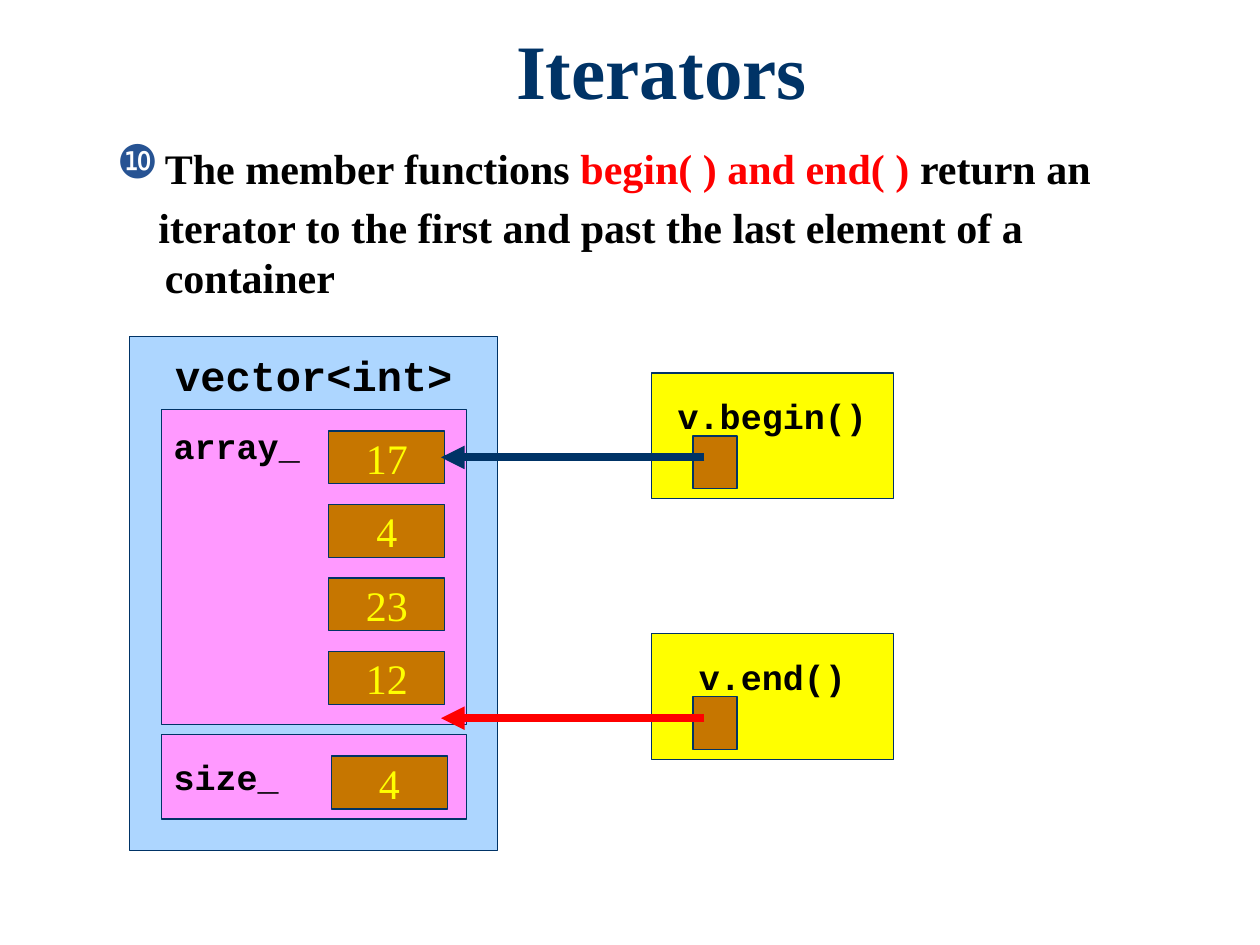
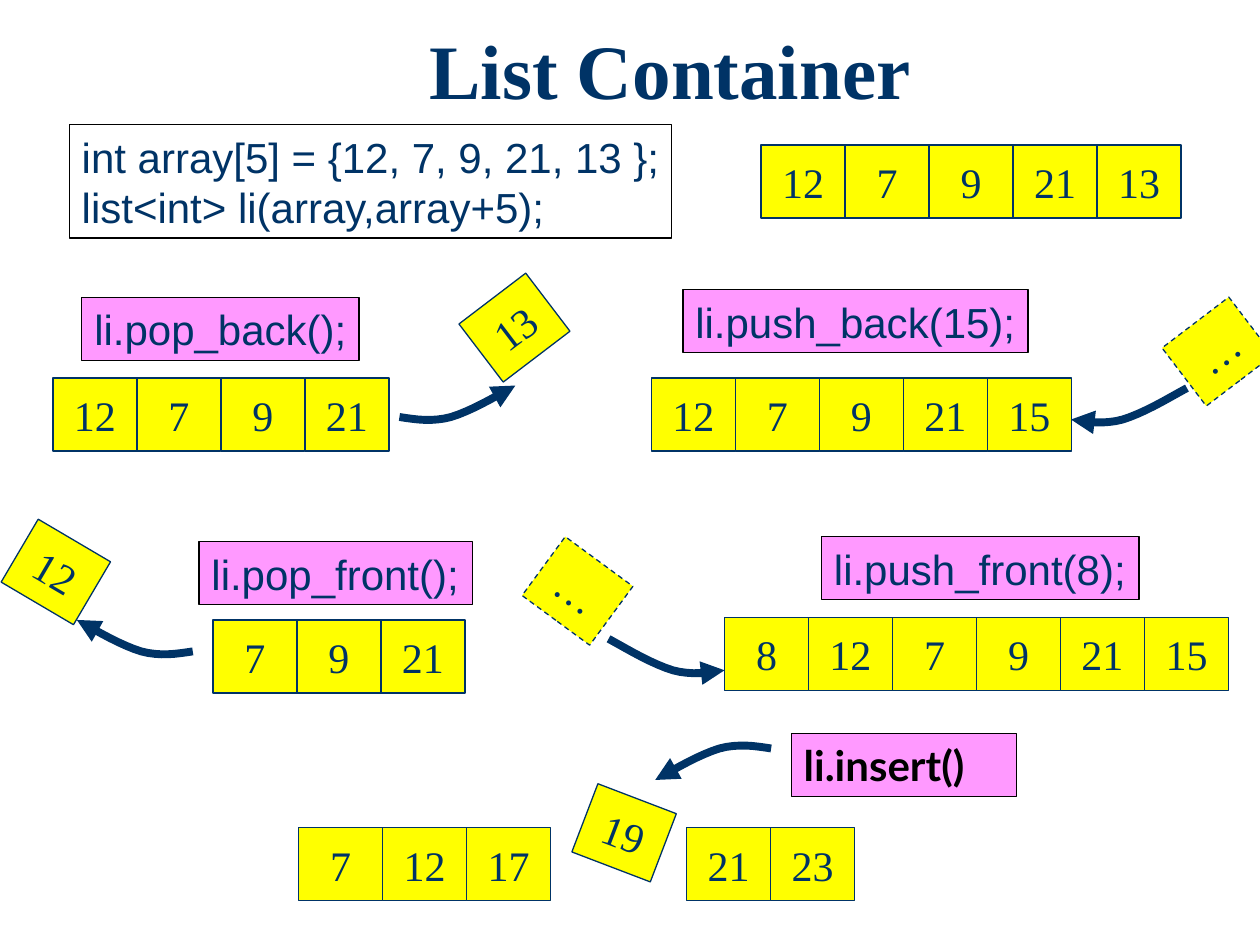
import pptx
import pptx.util
import pptx.dml.color
import pptx.enum.dml
import pptx.enum.shapes
import pptx.enum.text
import pptx.oxml
import pptx.oxml.ns

Inches, Pt = pptx.util.Inches, pptx.util.Pt
RGB = pptx.dml.color.RGBColor
ALIGN = pptx.enum.text.PP_ALIGN
ANCHOR = pptx.enum.text.MSO_ANCHOR

NAVY, BLACK, WHITE = RGB(0, 0x33, 0x66), RGB(0, 0, 0), RGB(255, 255, 255)
RED, YELLOW = RGB(255, 0, 0), RGB(255, 255, 0)
BROWN, PINK, SKY = RGB(0xC6, 0x76, 0), RGB(255, 0x99, 255), RGB(0xAD, 0xD6, 255)

# Text styles
SERIF = dict(name="Times New Roman", size=Pt(24))
CODE = dict(name="Courier New", size=Pt(20), bold=True, color=BLACK)
CODE_HEAD = {**CODE, "size": Pt(24)}
TITLE = {**SERIF, "size": Pt(44), "bold": True, "color": NAVY}
BODY = {**SERIF, "bold": True, "color": BLACK}
VALUE = {**SERIF, "color": YELLOW}
ITEM = {**SERIF, "color": NAVY}
CALL = dict(name="Arial", size=Pt(24), color=NAVY)
INSERT_CALL = dict(name="Lato", size=Pt(24), bold=True, color=BLACK)

# Content: iterators slide
BODY_LINES = [
    [("The member functions ", BLACK), ("begin( ) and end( ) ", RED), ("return an", BLACK)],
    [("iterator to the first and past the last element of a container", BLACK)],
]
ARRAY_VALUES = ["17", "4", "23", "12"]
ITERATORS = [("v.begin()", 2.96, NAVY), ("v.end()", 5.03, RED)]  # label, top, arrow

# Content: list slide. Cells are 2/3 inch wide.
CELL_W, CELL_H = 2 / 3, 0.58
DECLARATION = ["int array[5] = {12, 7, 9, 21, 13 };", "list<int> li(array,array+5);"]
ROWS = [  # left, top, values
    (6.04, 1.15, "12 7 9 21 13"),
    (0.42, 3, "12 7 9 21"),
    (5.17, 3, "12 7 9 21 15"),
    (1.69, 4.92, "7 9 21"),
    (5.75, 4.9, "8 12 7 9 21 15"),
    (2.37, 6.57, "7 12 17"),
    (5.45, 6.57, "21 23"),
]
LOOSE_CELLS = [  # left, top, value, rotation, dashed
    (3.75, 2.31, "13", 322.7, False),
    (9.33, 2.5, "…", 322.7, True),
    (0.11, 4.25, "12", 30.5, False),
    (4.25, 4.4, "…", 36.3, True),
    (4.62, 6.32, "19", 20.9, False),
]
CALLS = [  # left, top, width, text, style
    (0.65, 2.36, 2.2, "li.pop_back();", CALL),
    (5.42, 2.3, 2.74, "li.push_back(15);", CALL),
    (1.58, 4.3, 2.17, "li.pop_front();", CALL),
    (6.52, 4.26, 2.52, "li.push_front(8);", CALL),
    (6.28, 5.82, 1.79, "li.insert()", INSERT_CALL),
]
MOVES = [  # left, top, mirrored, upside down, arrowhead end
    (3.17, 3.06, False, False, "tailEnd"),
    (8.5, 3.08, False, False, "headEnd"),
    (0.61, 4.92, True, False, "tailEnd"),
    (4.83, 5.07, True, False, "headEnd"),
    (5.2, 5.9, True, True, "tailEnd"),
]
SWOOSH_W, SWOOSH_H = 0.92, 0.29
SWOOSH = [  # two cubic curves
    [(0, 0.25), (0.13, 0.27), (0.26, 0.29), (0.41, 0.25)],
    [(0.41, 0.25), (0.57, 0.2), (0.74, 0.1), (0.92, 0)],
]
CURVE_STEPS = 8


def box_at(*lengths):
    return [Inches(length) for length in lengths]


def add_run(paragraph, text, style):
    run = paragraph.add_run()
    run.text = text
    for key, value in style.items():
        if key == "color":
            run.font.color.rgb = value
        else:
            setattr(run.font, key, value)


def add_element(parent, tag, **attributes):
    child = pptx.oxml.parse_xml(f"<a:{tag} {pptx.oxml.ns.nsdecls('a')}/>")
    for key, value in attributes.items():
        child.set(key, value)
    parent.append(child)
    return child


def new_slide(title):
    slide = deck.slides.add_slide(deck.slide_layouts[5])
    heading = slide.shapes.title
    left = 1.25 if title == "Iterators" else 1.32
    heading.left, heading.top, heading.width, heading.height = box_at(left, 0.13, 8, 0.92)
    frame = heading.text_frame
    frame.auto_size = pptx.enum.text.MSO_AUTO_SIZE.NONE
    frame.vertical_anchor = ANCHOR.MIDDLE
    paragraph = frame.paragraphs[0]
    paragraph.alignment, paragraph.line_spacing = ALIGN.CENTER, 0.9
    add_run(paragraph, title, TITLE)
    return slide


def add_box(slide, at, fill, lines=(), style=None, align=ALIGN.CENTER, top=None, line=NAVY):
    """A bordered box; its text is centred vertically unless a top inset is given."""
    box = slide.shapes.add_shape(pptx.enum.shapes.MSO_SHAPE.RECTANGLE, *box_at(*at))
    box.shadow.inherit = False
    box.fill.solid()
    box.fill.fore_color.rgb = fill
    box.line.color.rgb, box.line.width = line, Pt(0.75)
    frame = box.text_frame
    frame.word_wrap = False
    frame.vertical_anchor = ANCHOR.MIDDLE if top is None else ANCHOR.TOP
    if top is not None:
        frame.margin_top = Inches(top)
    for index, text in enumerate(lines):
        paragraph = frame.add_paragraph() if index else frame.paragraphs[0]
        paragraph.alignment = align
        add_run(paragraph, text, style)
    return box


def style_arrow(arrow, color, end):
    arrow.line.color.rgb, arrow.line.width = color, Pt(4.5)
    add_element(arrow.line._get_or_add_ln(), end, type="triangle")


def add_swoosh(slide, left, top, mirrored, upside_down, end):
    points = [SWOOSH[0][0]]
    for a, b, c, d in SWOOSH:
        for step in range(1, CURVE_STEPS + 1):
            t = step / CURVE_STEPS
            weights = ((1 - t) ** 3, 3 * t * (1 - t) ** 2, 3 * t * t * (1 - t), t ** 3)
            points.append(tuple(sum(w * p[axis] for w, p in zip(weights, (a, b, c, d)))
                                for axis in (0, 1)))
    points = [(Inches(left + (SWOOSH_W - x if mirrored else x)),
               Inches(top + (SWOOSH_H - y if upside_down else y))) for x, y in points]
    builder = slide.shapes.build_freeform(*points[0], scale=1.0)
    builder.add_line_segments(points[1:], close=False)
    swoosh = builder.convert_to_shape()
    swoosh.shadow.inherit = False
    swoosh.fill.background()
    style_arrow(swoosh, NAVY, end)


deck = pptx.Presentation()
deck.slide_width, deck.slide_height = box_at(10, 7.5)

# Slide 1: body text with one bullet
slide = new_slide("Iterators")
body = slide.shapes.add_textbox(*box_at(0.83, 1.08, 8.5, 1.41)).text_frame
body.word_wrap = True
for index, parts in enumerate(BODY_LINES):
    paragraph = body.add_paragraph() if index else body.paragraphs[0]
    paragraph.space_before = Pt(4.8)
    for text, color in parts:
        add_run(paragraph, text, {**BODY, "color": color})
    props = paragraph._p.get_or_add_pPr()
    props.set("marL", str(Inches(0.38)))
    props.set("indent", str(Inches(-0.05 if index else -0.38)))
    if index == 0:
        add_element(add_element(props, "buClr"), "srgbClr", val="275393")
        add_element(props, "buSzPct", val="110000")
        add_element(props, "buChar", char="\u277f")

# The vector, its array and its size
add_box(slide, (1.03, 2.67, 2.92, 4.08), SKY, ["vector<int>"], CODE_HEAD, top=0.1)
add_box(slide, (1.28, 3.25, 2.42, 2.5), PINK, ["array_"], CODE, ALIGN.LEFT, top=0.12)
for index, value in enumerate(ARRAY_VALUES):
    add_box(slide, (2.61, 3.42 + index * 1.75 / 3, 0.92, 0.42), BROWN, [value], VALUE)
add_box(slide, (1.28, 5.83, 2.42, 0.67), PINK, ["size_"], CODE, ALIGN.LEFT)
add_box(slide, (2.63, 6, 0.92, 0.42), BROWN, [str(len(ARRAY_VALUES))], VALUE)

# Iterators pointing into the array
for label, top, color in ITERATORS:
    add_box(slide, (5.17, top, 1.92, 1), YELLOW, [label], CODE, top=0.17)
    add_box(slide, (5.5, top + 0.5, 0.35, 0.42), BROWN)
    pointer = slide.shapes.add_connector(
        pptx.enum.shapes.MSO_CONNECTOR.STRAIGHT,
        *box_at(5.59, top + 0.67, 3.5, top + 0.67))
    style_arrow(pointer, color, "tailEnd")
    add_element(pointer._element.spPr, "effectLst")

# Slide 2: declaration, lists and the calls that change them
slide = new_slide("List Container")
add_box(slide, (0.55, 0.99, 4.78, 0.9), WHITE, DECLARATION, CALL, ALIGN.LEFT, line=BLACK)
for left, top, values in ROWS:
    for column, value in enumerate(values.split()):
        add_box(slide, (left + column * CELL_W, top, CELL_W, CELL_H), YELLOW, [value], ITEM)
for left, top, value, rotation, dashed in LOOSE_CELLS:
    cell = add_box(slide, (left, top, CELL_W, CELL_H), YELLOW, [value], ITEM)
    cell.rotation = rotation
    if dashed:
        cell.line.dash_style = pptx.enum.dml.MSO_LINE.DASH
for left, top, width, text, style in CALLS:
    add_box(slide, (left, top, width, 0.5), PINK, [text], style, ALIGN.LEFT, line=BLACK)
for move in MOVES:
    add_swoosh(slide, *move)

deck.save("out.pptx")
